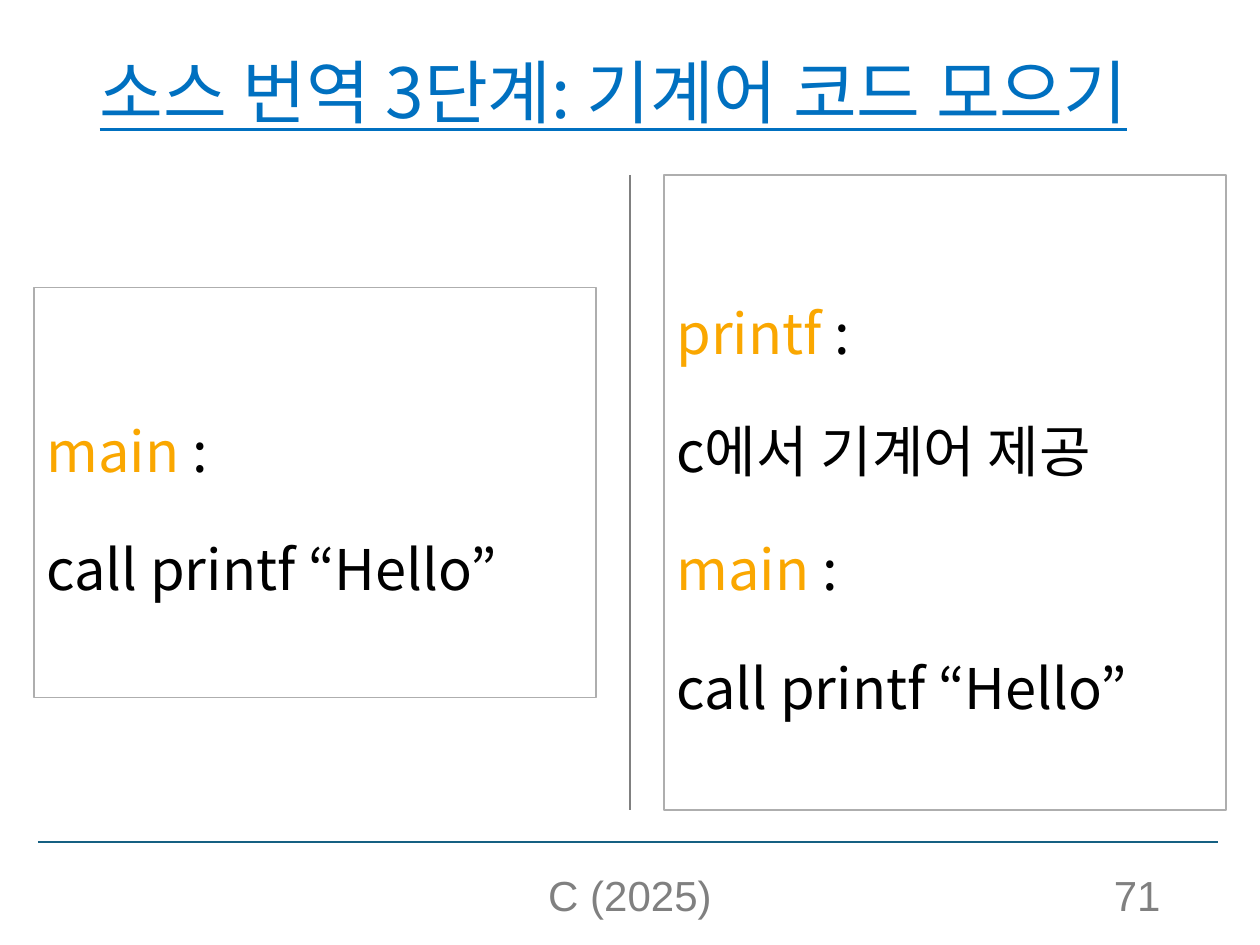
import pptx
import pptx.util
import pptx.dml.color
import pptx.enum.shapes
import pptx.enum.text
import pptx.oxml.ns
import lxml.etree

EMU_PER_PX = 914400 / 126
KOREAN_FONT = "Noto Sans CJK KR"
BLUE, TEAL, ORANGE = "0070C0", "156082", "FAA700"
BLACK, GREY, BORDER = "000000", "808080", "AEAEAE"
ALIGN = pptx.enum.text.PP_ALIGN
ANCHOR = pptx.enum.text.MSO_ANCHOR

MAIN_CODE = [[("main ", ORANGE), (":", BLACK)], [("call printf “Hello”", BLACK)]]
PRINTF_CODE = [[("printf ", ORANGE), (":", BLACK)], [("c에서 기계어 제공", BLACK)]]


def px(*lengths):
    return [pptx.util.Emu(round(length * EMU_PER_PX)) for length in lengths]


def color(value):
    return pptx.dml.color.RGBColor.from_string(value)


def write(shape, lines, size, font=KOREAN_FONT, underline=None, align=ALIGN.LEFT,
          anchor=ANCHOR.MIDDLE, line_spacing=None, space_before=0):
    """Fill a shape with lines, each a list of (text, colour) spans."""
    frame = shape.text_frame
    frame.word_wrap = True
    frame.auto_size = pptx.enum.text.MSO_AUTO_SIZE.NONE
    frame.vertical_anchor = anchor
    for index, line in enumerate(lines):
        para = frame.add_paragraph() if index else frame.paragraphs[0]
        para.alignment = align
        para.line_spacing = line_spacing
        para.space_before = pptx.util.Pt(space_before)
        for text, fill in line:
            span = para.add_run()
            span.text = text
            span.font.size = pptx.util.Pt(size)
            span.font.name = font
            span.font.underline = underline
            span.font.color.rgb = color(fill)
            east_asian = lxml.etree.SubElement(
                span.font._element, pptx.oxml.ns.qn("a:ea"))
            east_asian.set("typeface", font)


def add_line(page, start, end, fill):
    line = page.shapes.add_connector(
        pptx.enum.shapes.MSO_CONNECTOR.STRAIGHT, *px(*start, *end))
    line.line.color.rgb = color(fill)
    line.line.width = pptx.util.Pt(1.5)
    lxml.etree.SubElement(line._element.spPr, pptx.oxml.ns.qn("a:effectLst"))


def add_title(page, box, text):
    title = page.shapes.title
    title.left, title.top, title.width, title.height = px(*box)
    write(title, [[(text, BLUE)]], 39.6, underline=True, line_spacing=0.9)


def add_code_box(page, box, lines):
    panel = page.shapes.add_shape(
        pptx.enum.shapes.MSO_SHAPE.RECTANGLE, *px(*box))
    panel.shadow.inherit = False
    panel.fill.background()
    panel.line.color.rgb = color(BORDER)
    panel.line.width = pptx.util.Pt(0.75)
    write(panel, lines, 32, line_spacing=1.5, space_before=10)


def add_code_columns(page, box):
    """Place the two code boxes on either side of a central divider."""
    left, top, width, height = box
    box_width, short_height = 562, 410
    middle = left + width / 2
    add_line(page, (middle, top), (middle, top + height), GREY)
    add_code_box(page, (left, top + (height - short_height) / 2,
                        box_width, short_height), MAIN_CODE)
    add_code_box(page, (left + width - box_width, top, box_width, height),
                 PRINTF_CODE + MAIN_CODE)


def add_footer(page, box, course, number):
    left, top, width, height = box
    add_line(page, (left, top), (left + width, top), TEAL)
    for text, offset, text_width, align in (
            (course, 379, 426, ALIGN.CENTER), (number, 852, 283, ALIGN.RIGHT)):
        label = page.shapes.add_textbox(
            *px(left + offset, top + height - 50, text_width, 50))
        write(label, [[(text, GREY)]], 24, font="Arial", align=align,
              anchor=ANCHOR.BOTTOM)


def main():
    deck = pptx.Presentation()
    deck.slide_width, deck.slide_height = px(1260, 945)
    page = deck.slides.add_slide(deck.slide_layouts.get_by_name("Title Only"))
    add_title(page, (87, 50, 1173, 93), "소스 번역 3단계: 기계어 코드 모으기")
    add_code_columns(page, (34, 175, 1192, 635))
    add_footer(page, (38, 842, 1180, 84), "C (2025)", "71")
    deck.save("out.pptx")


if __name__ == "__main__":
    main()
